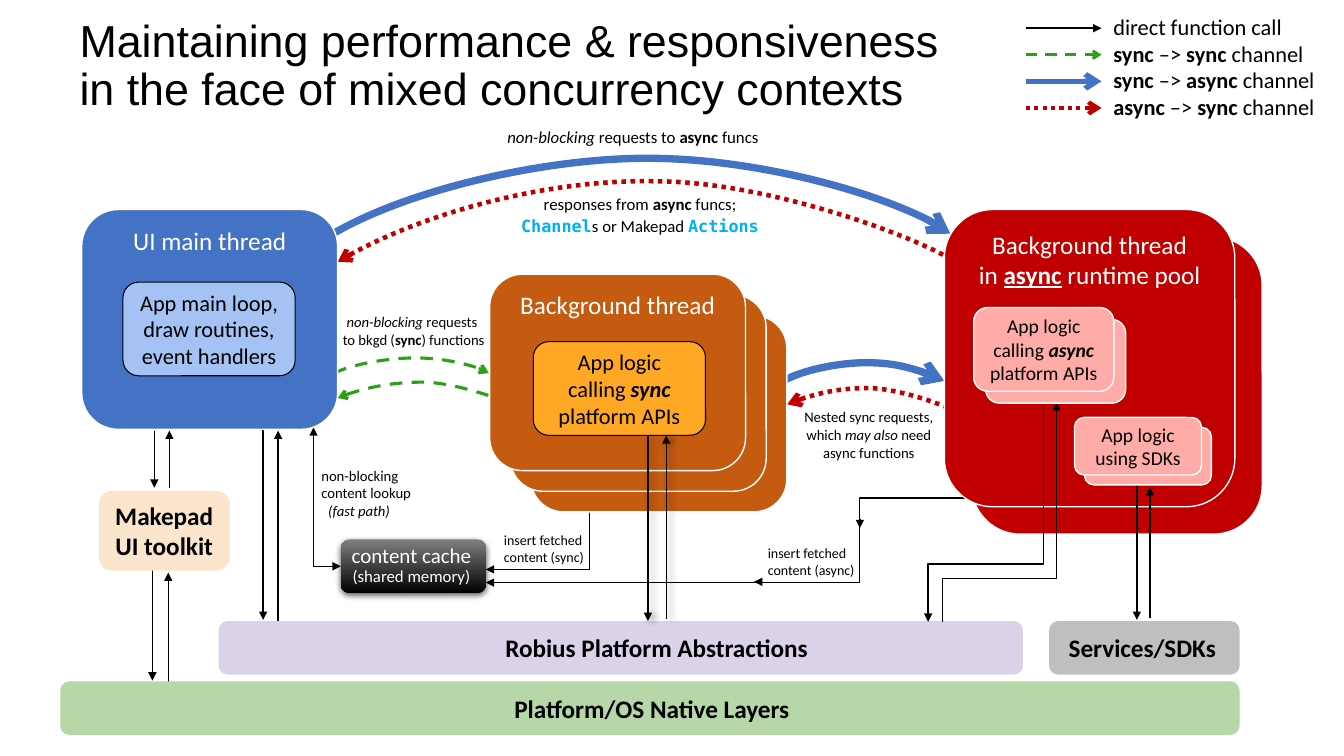
"""Draw the slide on mixing sync and async contexts in an app."""
from dataclasses import dataclass, replace
from typing import Any, Optional

from lxml.etree import SubElement
from pptx import Presentation
from pptx.dml.color import RGBColor
from pptx.enum.dml import MSO_LINE as Dash
from pptx.enum.shapes import MSO_CONNECTOR as Link, MSO_SHAPE as Preset
from pptx.enum.text import MSO_ANCHOR as Anchor, MSO_AUTO_SIZE as Fit, PP_ALIGN as Align
from pptx.oxml.ns import qn
from pptx.util import Cm, Pt

BLACK, WHITE, BLUE, RED, GREEN = "000000", "FFFFFF", "4472C4", "C00000", "2BA116"
ORANGE, PINK, CYAN, MONO = "C55A11", "FFACA9", "00B0F0", "DejaVu Sans Mono"
LOOSE, FLAT, NO_LEFT, BARE = (.25, .13, .25, .13), (.25, 0, .25, 0), (0, 0, .25, 0), (0, 0, 0, 0)


@dataclass(frozen=True)
class Run:
    text: str
    flags: str = ""
    size: Optional[float] = None
    color: Optional[str] = None
    font: str = "Calibri"


@dataclass(frozen=True)
class Para:
    runs: tuple[Run, ...]
    indent: float = 0
    spacing: float = 1
    align: Any = Align.CENTER


@dataclass(frozen=True)
class Shadow:
    alpha: int
    blur: float
    distance: float
    angle: int


@dataclass(frozen=True)
class Stroke:
    color: str
    width: float
    dash: Any = None
    tip: str = "arrow"


@dataclass(frozen=True)
class Box:
    area: tuple[float, float, float, float]
    fill: str
    size: float
    paras: tuple[Para, ...]
    color: str = BLACK
    line: Optional[Stroke] = None
    anchor: Any = Anchor.MIDDLE
    margins: tuple[float, ...] = LOOSE
    behind: int = 0
    step: float = 0
    shadow: Optional[Shadow] = None


@dataclass(frozen=True)
class Label:
    area: tuple[float, float, float, float]
    size: float
    paras: tuple[Para, ...]


@dataclass(frozen=True)
class Wire:
    start: tuple[float, float]
    end: tuple[float, float]
    ends: str = "tail"


@dataclass(frozen=True)
class Elbow(Wire):
    turn: int = 90
    flip: str = ""
    bend: Optional[int] = None


def centred(*runs: Run, **options: Any) -> tuple[Para, ...]:
    return (Para(runs, **options),)


def left(*runs: Run, **options: Any) -> Para:
    return Para(runs, align=Align.LEFT, **options)


CALL, EDGE, THIN = Stroke(BLACK, 1, tip="triangle"), Stroke(WHITE, 1), Stroke(BLACK, .75)
TO_SYNC, TO_ASYNC = Stroke(GREEN, 2.25, Dash.DASH), Stroke(BLUE, 5.25)
FROM_ASYNC = Stroke(RED, 3.25, Dash.ROUND_DOT)
SYNC, ASYNC, ARROW, CHANNEL = Run("sync", "b"), Run("async", "b"), Run(" –> "), Run(" channel")

ELBOWS = [
    Elbow((25.27, 12.55), (12.24, 14.68), turn=180, flip="flipV", bend=27700),
    Elbow((14.86, 12.85), (12.24, 14.35)),
    Elbow((7.9, 10.77), (8.59, 14.27), "head tail", 270, "flipH"),
]
PLATFORM_ELBOWS = [
    Elbow((26.29, 9.88), (23.39, 15.67), bend=74800),
    Elbow((26.62, 10.13), (23.75, 15.67), "head", bend=80200),
]
WIRES = [
    Wire((3.84, 14.25), (3.84, 17.15)), Wire((4.24, 17.2), (4.24, 14.43)),
    Wire((3.89, 10.85), (3.89, 12.29)), Wire((4.27, 12.29), (4.27, 10.85)),
    Wire((6.63, 10.54), (6.63, 15.62)), Wire((7.01, 15.93), (7.01, 10.85)),
    Wire((21.67, 13.08), (21.67, 13.31)), Wire((19.13, 14.66), (19, 14.66)),
]
SDK_WIRES = [Wire((28.65, 11.73), (28.65, 15.62)), Wire((28.98, 15.57), (28.98, 12.27))]
FRONT_WIRES = [Wire((16.33, 10.97), (16.33, 15.65)), Wire((16.79, 15.6), (16.79, 10.97))]
CURVES = [
    (TO_ASYNC, "tail", [(8.26, 5.97), (10.19, 4.78), (13.82, 3.96), (16.43, 3.99),
                        (19.05, 4.01), (22.91, 5.05), (23.95, 5.89)]),
    (FROM_ASYNC, "head", [(8.51, 6.6), (10.46, 5.41), (13.92, 4.5), (16.56, 4.57),
                          (19.2, 4.57), (22.99, 5.89), (24.13, 6.63)]),
    (TO_ASYNC, "tail", [(19.69, 9.63), (20.19, 9.32), (21.16, 9.14), (21.82, 9.14),
                        (22.5, 9.14), (23.52, 9.4), (23.8, 9.6)]),
    (FROM_ASYNC, "head", [(19.84, 10.19), (20.35, 9.96), (21.18, 9.78), (21.87, 9.78),
                          (22.56, 9.78), (23.55, 10.13), (23.85, 10.26)]),
    (TO_SYNC, "tail", [(8.43, 9.4), (8.89, 9.17), (9.8, 9.02), (10.46, 9.02),
                       (11.1, 9.02), (12.07, 9.22), (12.32, 9.4)]),
    (TO_SYNC, "head", [(8.51, 10.03), (9.04, 9.8), (9.91, 9.63), (10.64, 9.63),
                       (11.35, 9.63), (12.4, 9.98), (12.7, 10.11)]),
]
CACHE = Box((8.59, 13.59, 3.66, 1.35), "808080", 15,
            centred(Run("content cache\n"), Run("(shared memory)", size=12), indent=.15, spacing=.9),
            WHITE, margins=NO_LEFT, shadow=Shadow(63, 4.5, 1.5, 90))
LABELS = [
    Label((12.45, 13.28, 2.79, 1.12), 10, (left(Run("insert fetched content (sync)")),)),
    Label((19.1, 13.59, 2.79, 1.12), 10, (left(Run("insert fetched content (async)")),)),
    Label((7.85, 11.63, 2.79, 1.6), 10.5, (
        left(Run("non-blocking")), left(Run("content lookup")),
        left(Run("(fast path)", "i"), indent=.17))),
    Label((12.04, 3.07, 7.82, .76), 12, centred(
        Run("non-blocking ", "i"), Run("requests to "), Run("async ", "b"), Run("funcs"))),
    Label((12.47, 4.7, 7.32, 1.35), 12, (
        Para((Run("responses from "), Run("async ", "b"), Run("funcs;")), spacing=1.1),
        Para((Run("Channel", "b", color=CYAN, font=MONO), Run("s or Makepad "),
              Run("Actions", "b", color=CYAN, font=MONO)), spacing=1.1))),
    Label((19.56, 10.16, 4.67, 1.6), 10.5, centred(
        Run("Nested sync requests, which "), Run("may also ", "i"), Run("need\nasync functions"))),
    Label((8.05, 7.77, 4.75, 1.14), 10.5, centred(
        Run("non-blocking ", "i"), Run("requests \nto bkgd ("), SYNC, Run(") functions"))),
    Label((27.81, .2, 6.05, 3.76), 16, (
        left(Run("direct function call")), left(SYNC, ARROW, SYNC, CHANNEL),
        left(SYNC, ARROW, ASYNC, CHANNEL), left(ASYNC, ARROW, SYNC, CHANNEL))),
]
THREADS = [
    Box((2.06, 5.28, 6.45, 5.54), BLUE, 18, centred(Run("UI main thread")), WHITE, EDGE, Anchor.TOP),
    Box((12.34, 6.91, 6.45, 4.95), ORANGE, 18, centred(Run("Background thread")),
        WHITE, EDGE, Anchor.TOP, behind=2, step=.52),
    Box((23.8, 5.28, 7.32, 7.49), RED, 18, centred(
        Run("Background thread\nin "), Run("async", "bu"), Run(" runtime pool")),
        WHITE, EDGE, Anchor.TOP, behind=1, step=.69),
]
LAYERS = [
    Box((2.49, 12.37, 3.3, 2.01), "FCE5CD", 18, centred(Run("Makepad UI toolkit", "b")), margins=BARE),
    Box((1.52, 17.17, 29.72, 1.35), "B6D7A8", 18,
        centred(Run("Platform/OS Native Layers", "b"), indent=.1), margins=FLAT),
    Box((5.51, 15.65, 20.27, 1.35), "D9D2E9", 18,
        (left(Run("Robius Platform Abstractions", "b"), indent=7.16),), margins=NO_LEFT),
    Box((26.44, 15.65, 4.8, 1.35), "BFBFBF", 18,
        centred(Run("Services/SDKs", "b"), indent=.15), margins=NO_LEFT),
]
APP_PARTS = [
    Box((3.1, 7.11, 4.34, 2.36), "A4C2F4", 16,
        centred(Run("App main loop, draw routines, event handlers")), line=THIN, margins=FLAT),
    Box((24.54, 7.75, 3.53, 2.11), PINK, 14, centred(
        Run("App logic calling "), Run("async ", "bi"), Run("platform APIs")),
        line=EDGE, behind=1, step=.3),
    Box((13.44, 8.61, 4.34, 2.36), "FFA826", 16, centred(
        Run("App logic calling "), Run("sync", "bi"), Run(" platform APIs")), line=THIN, margins=FLAT),
    Box((27.08, 10.52, 3.2, 1.45), PINK, 14, centred(Run("App logic using SDKs")),
        line=EDGE, behind=1, step=.25),
]


def rgb(code: str) -> RGBColor:
    return RGBColor.from_string(code)


def write(frame: Any, paras: tuple[Para, ...], size: float, color: str) -> None:
    frame.word_wrap = True
    for number, para in enumerate(paras):
        line = frame.add_paragraph() if number else frame.paragraphs[0]
        line.alignment, line.line_spacing = para.align, para.spacing
        if para.indent:
            line._p.get_or_add_pPr().set("marL", str(Cm(para.indent)))
        for run in para.runs:
            for piece_number, piece in enumerate(run.text.split("\n")):
                if piece_number:
                    line.add_line_break()
                if piece:
                    part = line.add_run()
                    part.text, font = piece, part.font
                    font.name, font.size = run.font, Pt(run.size or size)
                    font.color.rgb = rgb(run.color or color)
                    font.bold, font.italic, font.underline = (flag in run.flags for flag in "biu")


def cast_shadow(effects: Any, shadow: Optional[Shadow]) -> None:
    if shadow:
        outer = SubElement(effects, qn("a:outerShdw"), blurRad=str(Pt(shadow.blur)),
                           dist=str(Pt(shadow.distance)), dir=str(shadow.angle * 60000))
        tint = SubElement(outer, qn("a:srgbClr"), val=BLACK)
        SubElement(tint, qn("a:alpha"), val=str(shadow.alpha * 1000))


def pen(shape: Any, stroke: Stroke, ends: str = "") -> None:
    shape.line.color.rgb, shape.line.width = rgb(stroke.color), Pt(stroke.width)
    if stroke.dash:
        shape.line.dash_style = stroke.dash
    for end in ends.split():
        SubElement(shape.element.spPr.find(qn("a:ln")), qn(f"a:{end}End"), type=stroke.tip)


def draw_box(shapes: Any, box: Box) -> None:
    x, y, width, height = box.area
    for depth in range(box.behind, -1, -1):
        shift = depth * box.step
        shape = shapes.add_shape(Preset.ROUNDED_RECTANGLE, Cm(x + shift), Cm(y + shift), Cm(width), Cm(height))
        shape.shadow.inherit = False
        shape.fill.solid()
        shape.fill.fore_color.rgb = rgb(box.fill)
        if box.line:
            pen(shape, box.line)
        else:
            shape.line.fill.background()
    if box.shadow:
        shape.fill.gradient()
        shape.fill.gradient_angle = 270
        for stop, color in zip(shape.fill.gradient_stops, (box.fill, BLACK)):
            stop.color.rgb = rgb(color)
        cast_shadow(shape.element.spPr.find(qn("a:effectLst")), box.shadow)
    frame = shape.text_frame
    frame.vertical_anchor = box.anchor
    frame.margin_left, frame.margin_top, frame.margin_right, frame.margin_bottom = map(Cm, box.margins)
    write(frame, box.paras, box.size, box.color)


def draw_wire(shapes: Any, wire: Wire, stroke: Stroke = CALL, shadow: Optional[Shadow] = None) -> None:
    (x1, y1), (x2, y2) = wire.start, wire.end
    kind = Link.STRAIGHT
    if isinstance(wire, Elbow):
        kind, across, down = Link.ELBOW, abs(x2 - x1) / 2, abs(y2 - y1) / 2
        if wire.turn % 180:
            across, down = down, across
        middle_x, middle_y = (x1 + x2) / 2, (y1 + y2) / 2
        x1, x2, y1, y2 = middle_x - across, middle_x + across, middle_y - down, middle_y + down
    connector = shapes.add_connector(kind, Cm(x1), Cm(y1), Cm(x2), Cm(y2))
    properties = connector.element.spPr
    if isinstance(wire, Elbow):
        frame, geometry = properties.find(qn("a:xfrm")), properties.find(qn("a:prstGeom"))
        frame.set("rot", str(wire.turn * 60000))
        if wire.flip:
            frame.set(wire.flip, "1")
        if wire.bend:
            SubElement(geometry.find(qn("a:avLst")), qn("a:gd"), name="adj1", fmla=f"val {wire.bend}")
        else:
            geometry.set("prst", "bentConnector2")
    pen(connector, stroke, wire.ends)
    cast_shadow(SubElement(properties, qn("a:effectLst")), shadow)


def draw_curve(shapes: Any, stroke: Stroke, end: str, points: list[tuple[float, float]]) -> None:
    start, *others = [(Cm(x), Cm(y)) for x, y in points]
    builder = shapes.build_freeform(*start)
    builder.add_line_segments(others, close=False)
    curve = builder.convert_to_shape()
    curve.shadow.inherit = False
    curve.fill.background()
    pen(curve, stroke, end)
    outline = next(curve.element.iter(qn("a:path")))
    corners = outline.findall(qn("a:lnTo"))
    for first in range(0, len(corners), 3):
        bezier = SubElement(outline, qn("a:cubicBezTo"))
        for corner in corners[first:first + 3]:
            bezier.append(corner[0])
            outline.remove(corner)


def draw_label(shapes: Any, label: Label) -> None:
    text = shapes.add_textbox(*map(Cm, label.area))
    write(text.text_frame, label.paras, label.size, BLACK)


def main() -> None:
    deck = Presentation()
    deck.slide_width, deck.slide_height = Cm(33.87), Cm(19.05)
    shapes = deck.slides.add_slide(deck.slide_layouts[5]).shapes
    title = shapes.title
    title.left, title.top, title.width, title.height = Cm(1.75), Cm(-.15), Cm(27.86), Cm(3.68)
    title.text_frame.auto_size, title.text_frame.vertical_anchor = Fit.NONE, Anchor.MIDDLE
    heading = "Maintaining performance & responsiveness\nin the face of mixed concurrency contexts"
    write(title.text_frame, (left(Run(heading, font="Arial"), spacing=.9),), 32, BLACK)
    for elbow in ELBOWS:
        draw_wire(shapes, elbow)
    draw_box(shapes, CACHE)
    for curve in CURVES:
        draw_curve(shapes, *curve)
    for label in LABELS:
        draw_label(shapes, label)
    for wire in WIRES:
        draw_wire(shapes, wire)
    for box in THREADS + LAYERS:
        draw_box(shapes, box)
    for wire in SDK_WIRES + PLATFORM_ELBOWS:
        draw_wire(shapes, wire)
    for box in APP_PARTS:
        draw_box(shapes, box)
    legend = (CALL, replace(TO_SYNC, width=2), replace(TO_ASYNC, width=3.75), replace(FROM_ASYNC, width=3))
    for row, stroke in enumerate(legend):
        y = .71 + .67 * row
        draw_wire(shapes, Wire((25.85, y), (27.76, y)), stroke)
    for wire in FRONT_WIRES:
        draw_wire(shapes, wire, shadow=Shadow(40, 5, 3, 17))
    deck.save("out.pptx")


if __name__ == "__main__":
    main()
